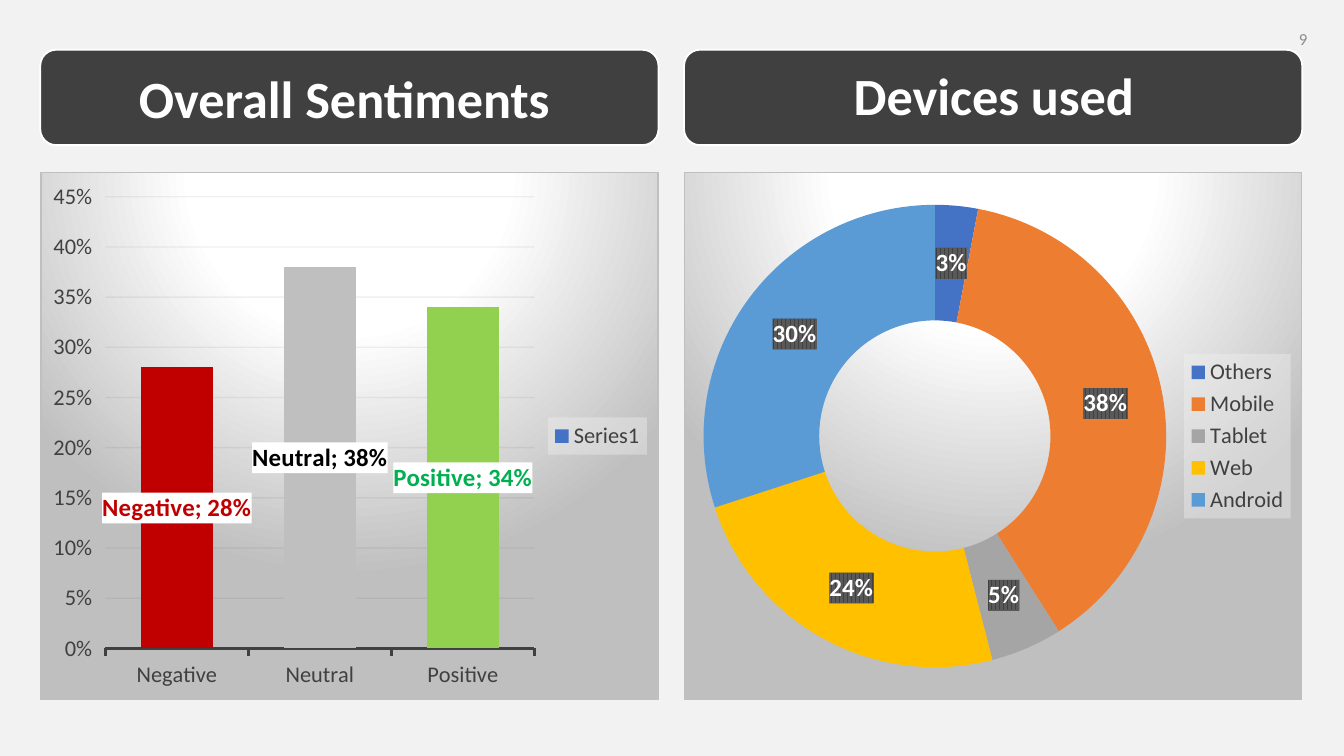
from pptx import Presentation
from pptx.chart.data import CategoryChartData
from pptx.dml.color import RGBColor
from pptx.enum.chart import XL_CHART_TYPE, XL_LEGEND_POSITION, XL_TICK_MARK
from pptx.enum.shapes import MSO_SHAPE
from pptx.enum.text import MSO_ANCHOR, PP_ALIGN
from pptx.oxml import parse_xml
from pptx.oxml.ns import nsdecls
from pptx.util import Inches, Pt

FONT = "Calibri"
COLORS = {
    "background": "F2F2F2", "dark": "404040", "white": "FFFFFF",
    "black": "000000", "number": "8C8C8C", "silver": "BFBFBF",
    "grid": "0D0D0D", "blue": "4472C4", "orange": "ED7D31",
    "grey": "A5A5A5", "yellow": "FFC000", "sky": "5B9BD5",
    "red": "C00000", "lime": "92D050", "green": "00B050", "stripe": "595959",
}
NS = nsdecls("c", "a")


def rgb(name):
    return RGBColor.from_string(COLORS[name])


def solid(name, alpha=100):
    return (f'<a:solidFill><a:srgbClr val="{COLORS[name]}">'
            f'<a:alpha val="{alpha * 1000}"/></a:srgbClr></a:solidFill>')


def set_font(font, size, color, bold=False):
    font.name, font.size, font.bold = FONT, Pt(size), bold
    font.color.rgb = rgb(color)


def add_text(s, box, text, size, color, inset, bold=False):
    tb = s.shapes.add_textbox(*map(Inches, box))
    tf = tb.text_frame
    tf.word_wrap = True
    tf.vertical_anchor = MSO_ANCHOR.MIDDLE
    tf.margin_left = tf.margin_right = Inches(inset)
    tf.margin_top = tf.margin_bottom = Inches(inset)
    p = tf.paragraphs[0]
    p.text = text
    p.alignment = PP_ALIGN.CENTER
    set_font(p.font, size, color, bold)
    return p


def add_header(s, x, y, w, h, text):
    sp = s.shapes.add_shape(MSO_SHAPE.ROUNDED_RECTANGLE,
                            Inches(x), Inches(y), Inches(w), Inches(h))
    sp.shadow.inherit = False
    sp.fill.solid()
    sp.fill.fore_color.rgb = rgb("dark")
    sp.line.color.rgb = rgb("white")
    sp.line.width = Pt(1)
    return add_text(s, (x + 0.02, y + 0.04, w - 0.03, h - 0.07), text, 28, "white", 0.11, True)


def label_body(color, fill, percent):
    """Settings shared by a whole series' labels and a single label."""
    position = "" if percent else '<c:dLblPos val="ctr"/>'
    shown = {"LegendKey": 0, "Val": not percent, "CatName": not percent,
             "SerName": 0, "Percent": percent, "BubbleSize": 0}
    flags = "".join(f'<c:show{k} val="{int(v)}"/>' for k, v in shown.items())
    return (f'<c:numFmt formatCode="0%" sourceLinked="0"/><c:spPr>{fill}</c:spPr>'
            f'<c:txPr><a:bodyPr wrap="none"/><a:p><a:pPr><a:defRPr sz="1330" b="1">{solid(color)}'
            f'<a:latin typeface="{FONT}"/></a:defRPr></a:pPr><a:endParaRPr lang="en-US"/></a:p></c:txPr>'
            f'{position}{flags}<c:separator>; </c:separator>')


def set_labels(series, color, fill, percent=False, point_colors=None):
    points = "".join(f'<c:dLbl><c:idx val="{i}"/>{label_body(c, fill, percent)}</c:dLbl>'
                     for i, c in (point_colors or {}).items())
    ser = series._element
    ser.replace(ser.get_or_add_dLbls(), parse_xml(
        f'<c:dLbls {NS}>{points}{label_body(color, fill, percent)}</c:dLbls>'))


def add_chart(s, box, kind, name, values, point_colors, plot_box):
    data = CategoryChartData()
    data.categories = list(values)
    data.add_series(name, list(values.values()))
    chart = s.shapes.add_chart(kind, *map(Inches, box), data).chart
    chart.has_title = False
    set_font(chart.font, 10, "black")

    # Panel with a glow from the top
    stops = "".join(f'<a:gs pos="{pos * 1000}"><a:srgbClr val="{COLORS[c]}"/></a:gs>'
                    for pos, c in ((0, "white"), (39, "white"), (100, "silver")))
    chart._chartSpace.chart.addnext(parse_xml(
        f'<c:spPr {NS}><a:gradFill><a:gsLst>{stops}</a:gsLst><a:path path="circle">'
        '<a:fillToRect l="50000" t="-80000" r="50000" b="180000"/></a:path></a:gradFill>'
        f'<a:ln w="9525">{solid("silver")}</a:ln></c:spPr>'))

    # Plot area, given in inches within the chart
    area = chart._chartSpace.chart.plotArea
    for old in area.findall("{*}layout"):
        area.remove(old)
    sizes = "".join(f'<c:{k} val="{v / full}"/>'
                    for k, v, full in zip("xywh", plot_box, box[2:] * 2))
    area.insert(0, parse_xml(
        f'<c:layout {NS}><c:manualLayout><c:layoutTarget val="inner"/>'
        f'<c:xMode val="edge"/><c:yMode val="edge"/>{sizes}</c:manualLayout></c:layout>'))

    # Legend on a translucent plate
    chart.has_legend = True
    legend = chart.legend
    legend.position = XL_LEGEND_POSITION.RIGHT
    legend.include_in_layout = False
    set_font(legend.font, 12, "dark")
    legend._element.find("{*}txPr").addprevious(
        parse_xml(f'<c:spPr {NS}>{solid("background", 39)}</c:spPr>'))

    plot = chart.plots[0]
    plot.vary_by_categories = kind == XL_CHART_TYPE.DOUGHNUT
    series = plot.series[0]
    for i, color in enumerate(point_colors):
        fill = series.points[i].format.fill
        fill.solid()
        fill.fore_color.rgb = rgb(color)
    return chart, series


def add_sentiments(s, box):
    chart, series = add_chart(
        s, box, XL_CHART_TYPE.COLUMN_CLUSTERED, "",
        {"Negative": 0.28, "Neutral": 0.38, "Positive": 0.34},
        ("red", "silver", "lime"), (0.48, 0.18, 3.2, 3.37))
    # An unnamed series gets its default name in the legend
    series._element.remove(series._element.find("{*}tx"))
    series.format.fill.solid()
    series.format.fill.fore_color.rgb = rgb("blue")
    chart.plots[0].gap_width = 100
    set_labels(series, "black", solid("white"), point_colors={0: "red", 2: "green"})

    cat, val = chart.category_axis, chart.value_axis
    for axis in (cat, val):
        axis.major_tick_mark = XL_TICK_MARK.OUTSIDE
        set_font(axis.tick_labels.font, 12, "dark")
    cat.format.line.color.rgb = rgb("dark")
    cat.format.line.width = Pt(1.5)
    val.format.line.fill.background()
    val.minimum_scale, val.maximum_scale, val.major_unit = 0, 0.45, 0.05
    val.tick_labels.number_format = "0%"
    val.tick_labels.number_format_is_linked = False
    grid = val.major_gridlines.format.line
    grid.color.rgb = rgb("grid")
    grid.width = Pt(0.75)
    color = val._element.find(".//{*}majorGridlines//{*}srgbClr")
    color.append(parse_xml(f'<a:alpha {NS} val="6000"/>'))


def add_devices(s, box):
    _, series = add_chart(
        s, box, XL_CHART_TYPE.DOUGHNUT, "Series 1",
        {"Others": 3, "Mobile": 38, "Tablet": 5, "Web": 24, "Android": 30},
        ("blue", "orange", "grey", "yellow", "sky"), (0.14, 0.24, 3.45, 3.45))
    stripes = ('<a:pattFill prst="dkVert">'
               f'<a:fgClr><a:srgbClr val="{COLORS["stripe"]}"/></a:fgClr>'
               f'<a:bgClr><a:srgbClr val="{COLORS["dark"]}"/></a:bgClr></a:pattFill>')
    set_labels(series, "white", stripes, percent=True)


def main():
    prs = Presentation()
    prs.slide_width = Inches(10)
    prs.slide_height = prs.slide_width * 9 // 16
    s = prs.slides.add_slide(prs.slide_layouts[6])
    s.background.fill.solid()
    s.background.fill.fore_color.rgb = rgb("background")

    # Slide number
    add_text(s, (9.39, -0.01, 0.61, 0.6), "9", 9, "number", 0.1)

    # Two columns: header above chart
    left, right, width = 0.3, 5.09, 4.6
    add_sentiments(s, (left, 1.28, width, 3.93))
    add_devices(s, (right, 1.28, width, 3.93))
    add_header(s, left, 0.37, width, 0.71, "Overall Sentiments ")
    p = add_header(s, right, 0.37, width, 0.71, "Devices used")
    p.line_spacing = 0.9
    p.space_after = Pt(9.8)

    prs.save("out.pptx")


if __name__ == "__main__":
    main()
